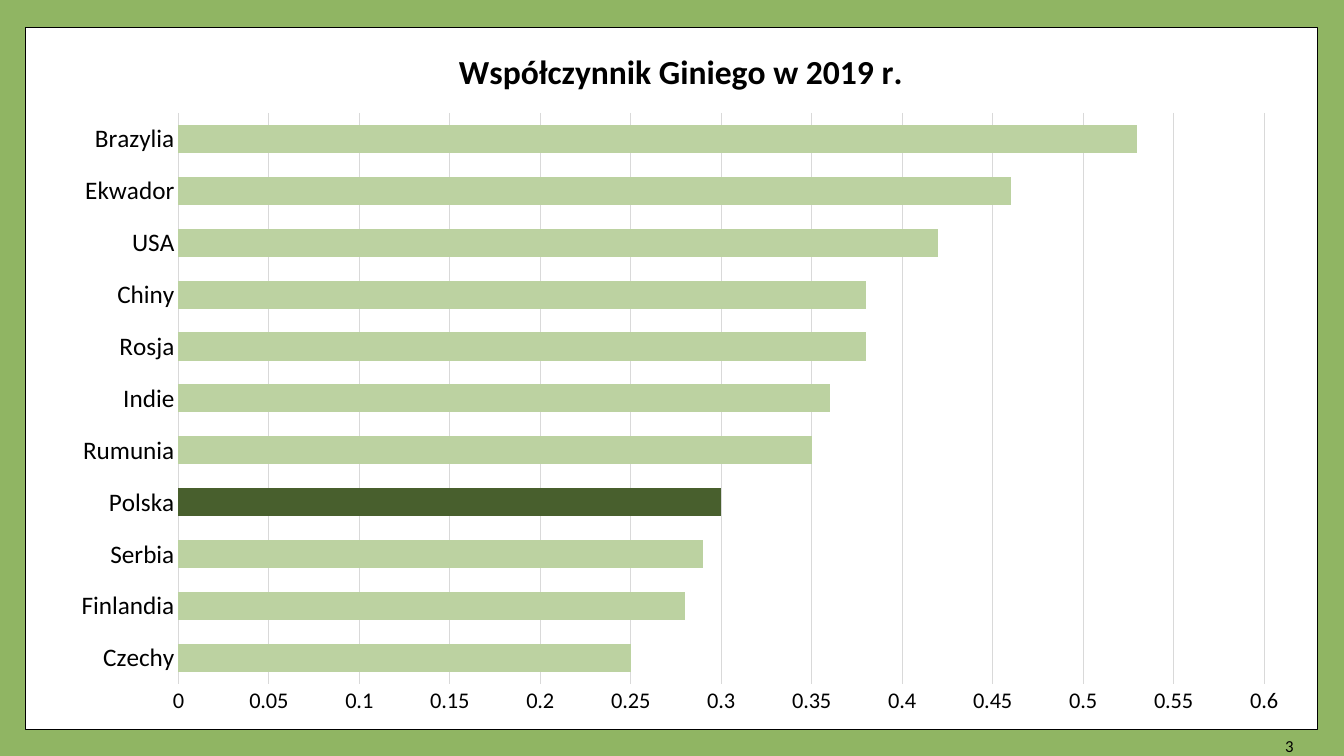
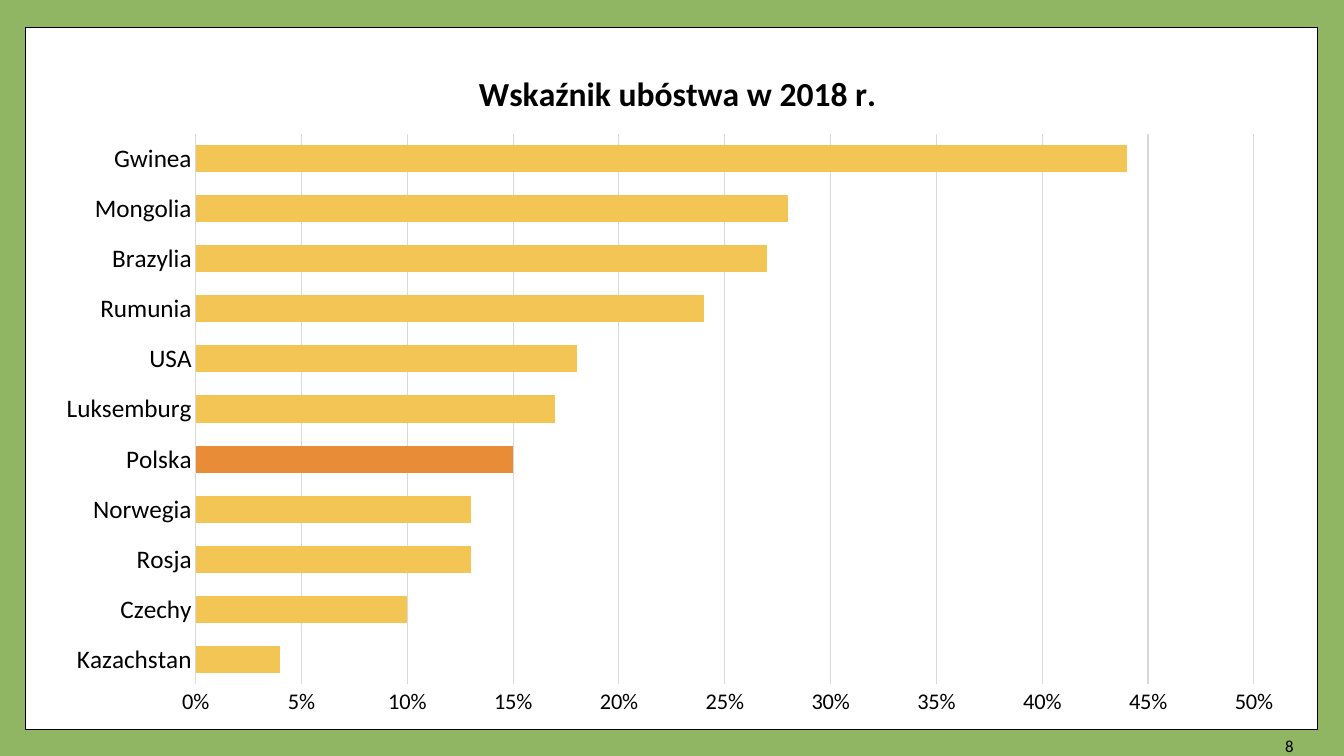
from lxml import etree
from pptx import Presentation
from pptx.chart.data import CategoryChartData
from pptx.dml.color import RGBColor
from pptx.enum.chart import XL_CHART_TYPE, XL_TICK_MARK
from pptx.enum.shapes import MSO_SHAPE
from pptx.enum.text import MSO_ANCHOR, PP_ALIGN
from pptx.oxml.ns import qn
from pptx.util import Cm, Pt

BAR_CLUSTERED = XL_CHART_TYPE.BAR_CLUSTERED
NO_TICK = XL_TICK_MARK.NONE
RECTANGLE = MSO_SHAPE.RECTANGLE
MIDDLE = MSO_ANCHOR.MIDDLE
RIGHT = PP_ALIGN.RIGHT

FONT = "Calibri"
BLANK_LAYOUT = 6
FRAME_ID = "20"
COLORS = {
    "background": "90B563",
    "panel": "FFFFFF",
    "text": "000000",
    "grid": "D9D9D9",
    "green": "BCD2A1",
    "dark green": "485F2D",
    "yellow": "F2C554",
    "orange": "E88C38",
}

CHARTS = [
    {
        "number": "3",
        "title": "Współczynnik Giniego w 2019 r.",
        "box": (1.35, 0.74, 31.45, 17.55),
        "title_at": {"x": 0.32, "y": 0.02},
        "plot_at": {"x": 0.1, "y": 0.12, "w": 0.87, "h": 0.82},
        "maximum": 0.6,
        "format": "General",
        "bar": "green",
        "highlight": "dark green",
        "values": {
            "Czechy": 0.25, "Finlandia": 0.28, "Serbia": 0.29, "Polska": 0.3,
            "Rumunia": 0.35, "Indie": 0.36, "Rosja": 0.38, "Chiny": 0.38,
            "USA": 0.42, "Ekwador": 0.46, "Brazylia": 0.53,
        },
    },
    {
        "number": "8",
        "title": "Wskaźnik ubóstwa w 2018 r.",
        "box": (1.12, 0.94, 31.75, 17.35),
        "title_at": {"x": 0.34, "y": 0.04},
        "plot_at": {"x": 0.12, "y": 0.14, "w": 0.84, "h": 0.8},
        "maximum": 0.5,
        "format": "0%",
        "bar": "yellow",
        "highlight": "orange",
        "values": {
            "Kazachstan": 0.04, "Czechy": 0.1, "Rosja": 0.13, "Norwegia": 0.13,
            "Polska": 0.15, "Luksemburg": 0.17, "USA": 0.18, "Rumunia": 0.24,
            "Brazylia": 0.27, "Mongolia": 0.28, "Gwinea": 0.44,
        },
    },
]


def color(name):
    return RGBColor.from_string(COLORS[name])


def paint(fill, name):
    fill.solid()
    fill.fore_color.rgb = color(name)


def draw_line(line, name, width):
    line.color.rgb = color(name)
    line.width = Pt(width)


def style_font(font, size, bold=False):
    font.name = FONT
    font.size = Pt(size)
    font.bold = bold
    font.color.rgb = color("text")


def place(element, index, fractions):
    for old in element.findall(qn("c:layout")):
        element.remove(old)
    layout = etree.Element(qn("c:layout"))
    manual = etree.SubElement(layout, qn("c:manualLayout"))
    settings = {"layoutTarget": "inner"} if "w" in fractions else {}
    settings.update(xMode="edge", yMode="edge", **fractions)
    for tag, value in settings.items():
        etree.SubElement(manual, qn(f"c:{tag}")).set("val", str(value))
    element.insert(index, layout)


def add_master_frame(deck, page):
    master = deck.slide_master
    paint(master.background.fill, "background")
    frame = page.shapes.add_shape(RECTANGLE, Cm(0.64), Cm(0.69), Cm(32.56), Cm(17.7))
    frame.shadow.inherit = False
    paint(frame.fill, "panel")
    draw_line(frame.line, "text", 1)
    frame.element.nvSpPr.cNvPr.set("id", FRAME_ID)
    master.shapes.element.append(frame.element)


def add_page_number(page, number):
    box = page.shapes.add_textbox(Cm(28.1), Cm(18.29), Cm(4.75), Cm(1.02))
    frame = box.text_frame
    frame.word_wrap = True
    frame.vertical_anchor = MIDDLE
    para = frame.paragraphs[0]
    para.text = number
    para.alignment = RIGHT
    style_font(para.runs[0].font, 12)


def style_title(chart, content):
    chart.has_title = True
    title = chart.chart_title
    title.include_in_layout = False
    para = title.text_frame.paragraphs[0]
    para.text = content["title"]
    style_font(para.runs[0].font, 24, bold=True)
    place(title.element, 1, content["title_at"])


def style_axes(chart, content):
    countries, scale = chart.category_axis, chart.value_axis
    for axis, size in ((countries, 18), (scale, 16)):
        axis.major_tick_mark = NO_TICK
        axis.minor_tick_mark = NO_TICK
        style_font(axis.tick_labels.font, size)
    countries.has_major_gridlines = False
    draw_line(countries.format.line, "grid", 0.75)
    scale.minimum_scale = 0
    scale.maximum_scale = content["maximum"]
    scale.major_unit = 0.05
    scale.tick_labels.number_format = content["format"]
    scale.tick_labels.number_format_is_linked = False
    scale.format.line.fill.background()
    scale.has_major_gridlines = True
    draw_line(scale.major_gridlines.format.line, "grid", 0.75)


def style_bars(chart, content):
    plot = chart.plots[0]
    plot.gap_width = 85
    plot.vary_by_categories = False
    series = plot.series[0]
    paint(series.format.fill, content["bar"])
    poland = list(content["values"]).index("Polska")
    paint(series.points[poland].format.fill, content["highlight"])


def add_bar_chart(page, content):
    data = CategoryChartData()
    data.categories = list(content["values"])
    data.add_series("Series 1", list(content["values"].values()))
    box = [Cm(length) for length in content["box"]]
    chart = page.shapes.add_chart(BAR_CLUSTERED, *box, data).chart
    chart.has_legend = False
    style_font(chart.font, 10)
    style_title(chart, content)
    style_axes(chart, content)
    style_bars(chart, content)
    place(chart.element.xpath(".//c:plotArea")[0], 0, content["plot_at"])


def main():
    deck = Presentation()
    deck.slide_width, deck.slide_height = Cm(33.87), Cm(19.05)
    blank = deck.slide_layouts[BLANK_LAYOUT]
    pages = [deck.slides.add_slide(blank) for _ in CHARTS]
    add_master_frame(deck, pages[0])
    for page, content in zip(pages, CHARTS):
        add_page_number(page, content["number"])
        add_bar_chart(page, content)
    deck.save("out.pptx")


if __name__ == "__main__":
    main()
